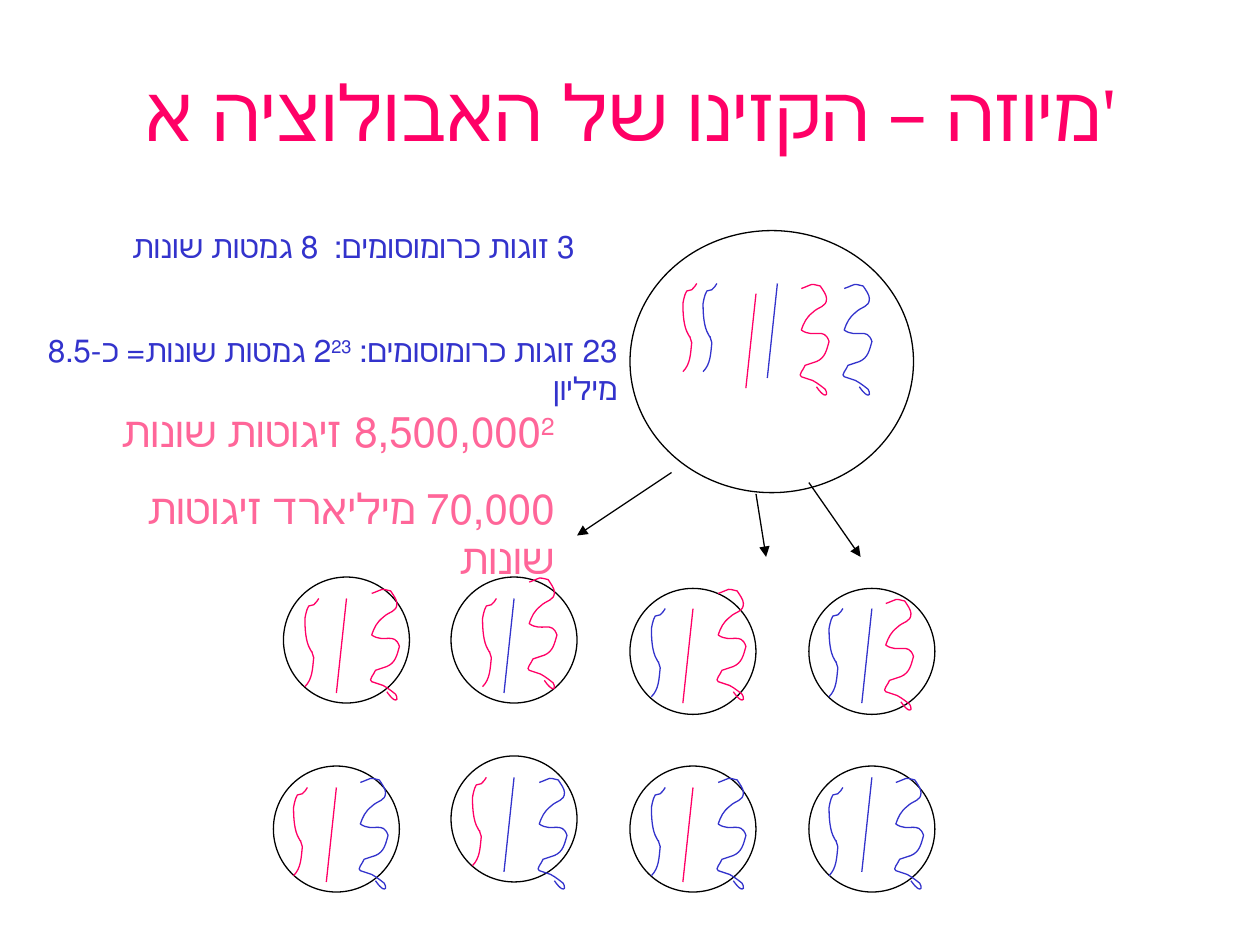
from lxml import etree
from pptx import Presentation
from pptx.dml.color import RGBColor
from pptx.enum.shapes import MSO_CONNECTOR, MSO_SHAPE
from pptx.enum.text import MSO_ANCHOR, PP_ALIGN
from pptx.oxml.ns import qn
from pptx.util import Inches, Pt

COLORS = {
    "maternal": "FF0066",
    "paternal": "3333CC",
    "outline": "000000",
    "title": "FF0066",
    "gametes": "3333CC",
    "zygotes": "FF6699",
}
FONT = "Times New Roman"
PARENTS = {"M": "maternal", "P": "paternal"}

# Bezier points, in inches from the top left: a start, then three per curve
SHORT = [
    (.11, 0), (.1, .02), (.09, .03), (.07, .05), (.06, .06), (.04, .05), (.03, .06),
    (.01, .09), (0, .16), (0, .16), (0, .2), (0, .31), (.03, .38),
    (.09, .5), (.03, .35), (.07, .47), (.06, .56), (.06, .64), (0, .7),
]
WAVY = [
    (.03, .04), (.14, 0), (.09, 0), (.18, .02), (.2, .05), (.23, .09), (.23, .12),
    (.23, .19), (.17, .18), (.12, .23), (.07, .27), (.05, .31), (.03, .37),
    (.13, .44), (.21, .34), (.25, .46), (.23, .53), (.22, .59), (.15, .62),
    (.12, .63), (.06, .65), (.06, .65), (.05, .68), (0, .73), (.03, .74),
    (.06, .75), (.09, .76), (.12, .77), (.16, .79), (.22, .84), (.22, .84),
    (.22, .85), (.24, .87), (.23, .88), (.21, .91), (.15, .82), (.15, .82),
]

# Cell corner, parents of the three chromosomes, places of short, rod and wavy
GAMETES = [
    ((2.25, 4.58), "MMM", (2.42, 4.75), (2.75, 4.75), (2.92, 4.67)),
    ((3.58, 4.58), "MPM", (3.83, 4.75), (4.08, 4.75), (4.17, 4.58)),
    ((5, 4.67), "PMM", (5.17, 4.83), (5.5, 4.83), (5.67, 4.67)),
    ((6.42, 4.67), "PPM", (6.58, 4.83), (6.92, 4.83), (7, 4.75)),
    ((2.17, 6.08), "MMP", (2.33, 6.25), (2.67, 6.25), (2.83, 6.17)),
    ((3.58, 6), "MPP", (3.75, 6.17), (4.08, 6.17), (4.25, 6.17)),
    ((5, 6.08), "PMP", (5.17, 6.25), (5.5, 6.25), (5.67, 6.17)),
    ((6.42, 6.08), "PPP", (6.58, 6.25), (6.92, 6.17), (7.08, 6.17)),
]
ARROWS = [
    ((5.33, 3.75), (4.58, 4.25)),
    ((6, 3.92), (6.08, 4.42)),
    ((6.42, 3.83), (6.83, 4.42)),
]


def color(name):
    return RGBColor.from_string(COLORS[name])


def set_line(shape, name):
    shape.line.color.rgb = color(name)
    shape.line.width = Pt(0.75)


def add_cell(shapes, corner, width, height):
    cell = shapes.add_shape(MSO_SHAPE.OVAL, *map(Inches, (*corner, width, height)))
    cell.shadow.inherit = False
    cell.fill.background()
    set_line(cell, "outline")


def add_line(shapes, start, end, name, arrow=False):
    line = shapes.add_connector(MSO_CONNECTOR.STRAIGHT, *map(Inches, (*start, *end)))
    set_line(line, name)
    if arrow:
        etree.SubElement(line.line._get_or_add_ln(), qn("a:tailEnd"), type="triangle")
    etree.SubElement(line._element.spPr, qn("a:effectLst"))


def add_curve(shapes, corner, points, name):
    left, top = corner
    spots = [(Inches(left + x), Inches(top + y)) for x, y in points]
    builder = shapes.build_freeform(*spots[0])
    builder.add_line_segments(spots[1:], close=False)
    curve = builder.convert_to_shape()
    curve.shadow.inherit = False
    curve.fill.background()
    set_line(curve, name)
    # Turn each three straight segments into one Bezier curve
    steps = list(curve._element.iter(qn("a:lnTo")))
    for first in range(0, len(steps), 3):
        trio = steps[first:first + 3]
        bezier = etree.Element(qn("a:cubicBezTo"))
        trio[0].addprevious(bezier)
        for step in trio:
            bezier.append(step[0])
            step.getparent().remove(step)


def add_rod(shapes, start, name):
    x, y = start
    add_line(shapes, start, (x - 0.08, y + 0.75), name)


def add_chromosomes(shapes, parents, short, rod, wavy):
    names = [PARENTS[letter] for letter in parents]
    add_curve(shapes, short, SHORT, names[0])
    add_rod(shapes, rod, names[1])
    add_curve(shapes, wavy, WAVY, names[2])


def add_text(page, paragraphs, *, at, size, name, align=PP_ALIGN.RIGHT,
             anchor=MSO_ANCHOR.TOP, rtl=True, before=0):
    """Each paragraph is a list of spans; a span in a tuple is superscript."""
    box = page.shapes.add_textbox(*map(Inches, at))
    frame = box.text_frame
    frame.word_wrap = True
    frame.vertical_anchor = anchor
    for index, spans in enumerate(paragraphs):
        para = frame.add_paragraph() if index else frame.paragraphs[0]
        para.alignment = align
        if rtl:
            para._p.get_or_add_pPr().set("rtl", "1")
        if index:
            para.space_before = Pt(before)
        for content in spans:
            raised = isinstance(content, tuple)
            span = para.add_run()
            span.text = content[0] if raised else content
            span.font.name = FONT
            span.font.size = Pt(size)
            span.font.color.rgb = color(name)
            if raised:
                span.font._element.set("baseline", "30000")


def main():
    deck = Presentation()
    deck.slide_width, deck.slide_height = Inches(10), Inches(7.5)
    page = deck.slides.add_slide(deck.slide_layouts[6])

    # Title
    add_text(page, [["מיוזה – הקזינו של האבולוציה א'"]], at=(0.75, 0.25, 8.5, 1.25),
             size=44, name="title", align=PP_ALIGN.CENTER,
             anchor=MSO_ANCHOR.MIDDLE, rtl=False)

    # Parent cell with three chromosome pairs
    parent = page.shapes.add_group_shape().shapes
    add_cell(parent, (5, 1.83), 2.25, 2.08)
    add_chromosomes(parent, "MMM", (5.42, 2.25), (6, 2.33), (6.33, 2.25))
    add_chromosomes(parent, "PPP", (5.58, 2.25), (6.17, 2.25), (6.67, 2.25))

    # Eight possible gametes
    for corner, parents, *places in GAMETES:
        add_cell(page.shapes, corner, 1, 1)
        add_chromosomes(page.shapes, parents, *places)
    for start, end in ARROWS:
        add_line(page.shapes, start, end, "outline", arrow=True)

    # Counts of gametes and zygotes
    add_text(page, [["3 זוגות כרומוסומים:  8 גמטות שונות"]],
             at=(0.83, 1.75, 3.83, 0.4), size=18, name="gametes")
    add_text(page, [["23 זוגות כרומוסומים: 2", ("23",), " גמטות שונות= כ-8.5 מיליון"]],
             at=(0, 2.58, 5, 0.7), size=18, name="gametes")
    add_text(page, [["8,500,000", ("2  ",), "זיגוטות שונות"],
                    ["70,000 מיליארד זיגוטות שונות"]],
             at=(0.42, 3.17, 4.08, 1.11), size=24, name="zygotes", before=15)

    deck.save("out.pptx")


if __name__ == "__main__":
    main()
